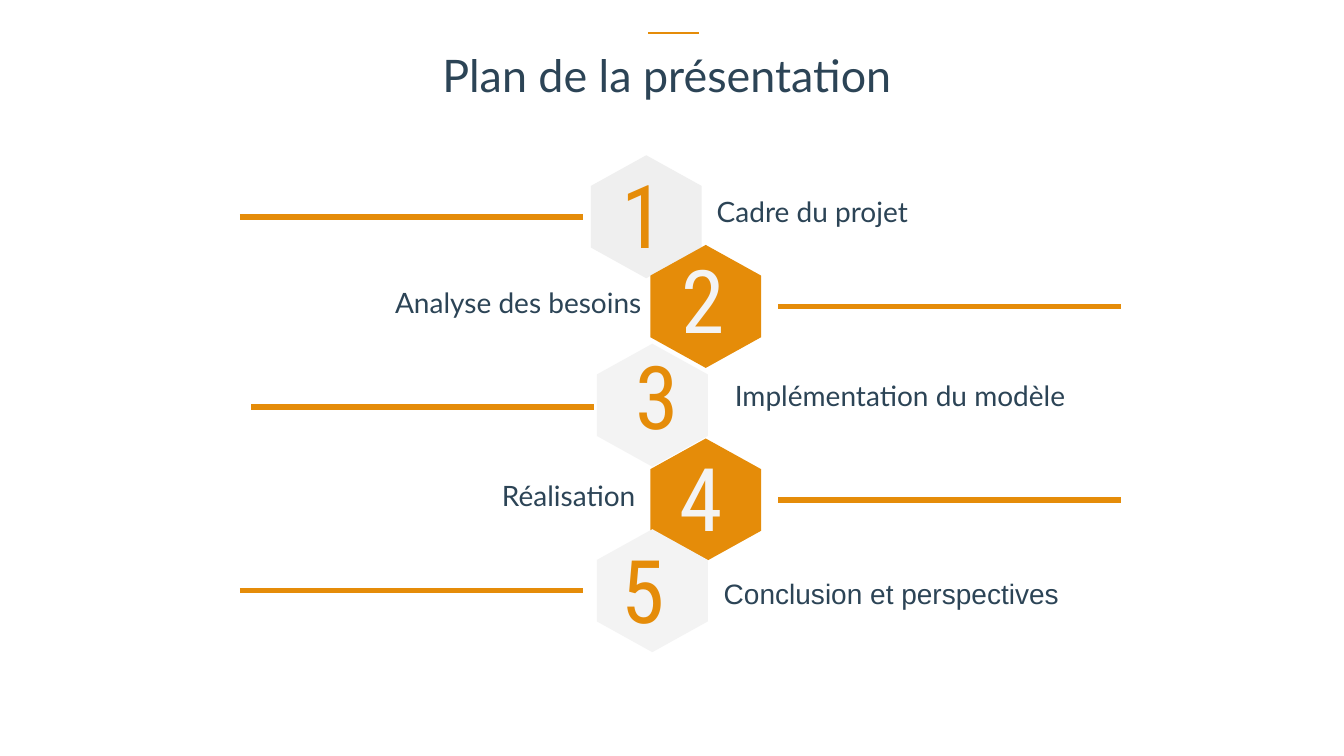
import pptx
import pptx.dml.color
import pptx.enum.shapes
import pptx.enum.text
import pptx.oxml.ns
import pptx.util
from lxml import etree

TITLE = "Plan de la présentation"
ORANGE, NAVY, GREY, PALE = "E58C09", "2C4456", "F3F3F3", "EFEFEF"

# One entry per chapter; positions are (left, top) in inches, center is the hexagon's
CHAPTERS = [
    dict(label="Cadre du projet", label_at=(7.01, 1.88), center=(6.41, 2.15),
         digit_at=(6.16, 1.85), rule_at=(2.38, 2.15), fill=PALE, ink=ORANGE),
    dict(label="Analyse des besoins", label_at=(3.82, 2.78), center=(7, 3.04),
         digit_at=(6.76, 2.69), rule_at=(7.72, 3.04), fill=ORANGE, ink=GREY),
    dict(label="Implémentation du modèle", label_at=(7.19, 3.71), center=(6.47, 4.02),
         digit_at=(6.3, 3.64), rule_at=(2.49, 4.04), fill=GREY, ink=ORANGE),
    dict(label="Réalisation", label_at=(4.88, 4.7), center=(7, 4.96),
         digit_at=(6.74, 4.66), rule_at=(7.72, 4.96), fill=ORANGE, ink=GREY),
    dict(label="Conclusion et perspectives", label_at=(7.08, 5.67), center=(6.47, 5.86),
         digit_at=(6.16, 5.57), rule_at=(2.38, 5.86), fill=GREY, ink=ORANGE, font="Arial"),
]
HEX_W, HEX_H = 1.1, 1.22
DIGIT_SIZE = (0.63, 0.79)
LABEL_SIZE = (4.4, 0.44)
RULE_LENGTH = 3.4

inches = pptx.util.Inches
ANCHOR = pptx.enum.text.MSO_ANCHOR
ALIGN = pptx.enum.text.PP_ALIGN


def color(value):
    return pptx.dml.color.RGBColor.from_string(value)


def write(box, text, size, ink=NAVY, font="Lato", align=ALIGN.LEFT,
          anchor=ANCHOR.TOP, margins=(0.1, 0.05)):
    frame = box.text_frame
    frame.auto_size = pptx.enum.text.MSO_AUTO_SIZE.NONE
    frame.word_wrap = True
    frame.vertical_anchor = anchor
    frame.margin_left = frame.margin_right = inches(margins[0])
    frame.margin_top = frame.margin_bottom = inches(margins[1])
    paragraph = frame.paragraphs[0]
    paragraph.alignment = align
    run = paragraph.add_run()
    run.text = text
    run.font.size = pptx.util.Pt(size)
    run.font.name = font
    run.font.color.rgb = color(ink)


def add_text(slide, text, at, extent, **style):
    box = slide.shapes.add_textbox(*map(inches, at + extent))
    write(box, text, **style)


def add_rule(slide, at, length, weight):
    left, top = at
    rule = slide.shapes.add_connector(
        pptx.enum.shapes.MSO_CONNECTOR.STRAIGHT,
        *map(inches, (left, top, left + length, top)))
    rule.line.color.rgb = color(ORANGE)
    rule.line.width = pptx.util.Pt(weight)
    etree.SubElement(rule._element.spPr, pptx.oxml.ns.qn("a:effectLst"))


def add_hexagon(slide, center, fill):
    x, y = center
    shares = [(0, -0.5), (0.5, -0.25), (0.5, 0.25), (0, 0.5), (-0.5, 0.25), (-0.5, -0.25)]
    corners = [(inches(x + dx * HEX_W), inches(y + dy * HEX_H)) for dx, dy in shares]
    builder = slide.shapes.build_freeform(*corners[0])
    builder.add_line_segments(corners[1:], close=True)
    hexagon = builder.convert_to_shape()
    hexagon.shadow.inherit = False
    hexagon.fill.solid()
    hexagon.fill.fore_color.rgb = color(fill)
    hexagon.line.fill.background()


def main():
    deck = pptx.Presentation()
    deck.slide_width, deck.slide_height = inches(13.33), inches(7.5)
    slide = deck.slides.add_slide(deck.slide_layouts[5])

    # Title with its short rule above
    add_rule(slide, (6.43, 0.33), 0.5, 1.5)
    title = slide.shapes.title
    title.left, title.top, title.width, title.height = map(inches, (-0.05, 0.42, 13.33, 0.64))
    write(title, TITLE, size=32, align=ALIGN.CENTER)

    # Chapters: rule, hexagon, number and label
    for number, chapter in enumerate(CHAPTERS, start=1):
        add_rule(slide, chapter["rule_at"], RULE_LENGTH, 4)
        add_hexagon(slide, chapter["center"], chapter["fill"])
        add_text(slide, str(number), chapter["digit_at"], DIGIT_SIZE, size=62.7,
                 ink=chapter["ink"], font="Roboto Condensed", anchor=ANCHOR.BOTTOM,
                 margins=(0, 0))
        add_text(slide, chapter["label"], chapter["label_at"], LABEL_SIZE, size=20,
                 font=chapter.get("font", "Lato"))

    deck.save("out.pptx")


if __name__ == "__main__":
    main()
